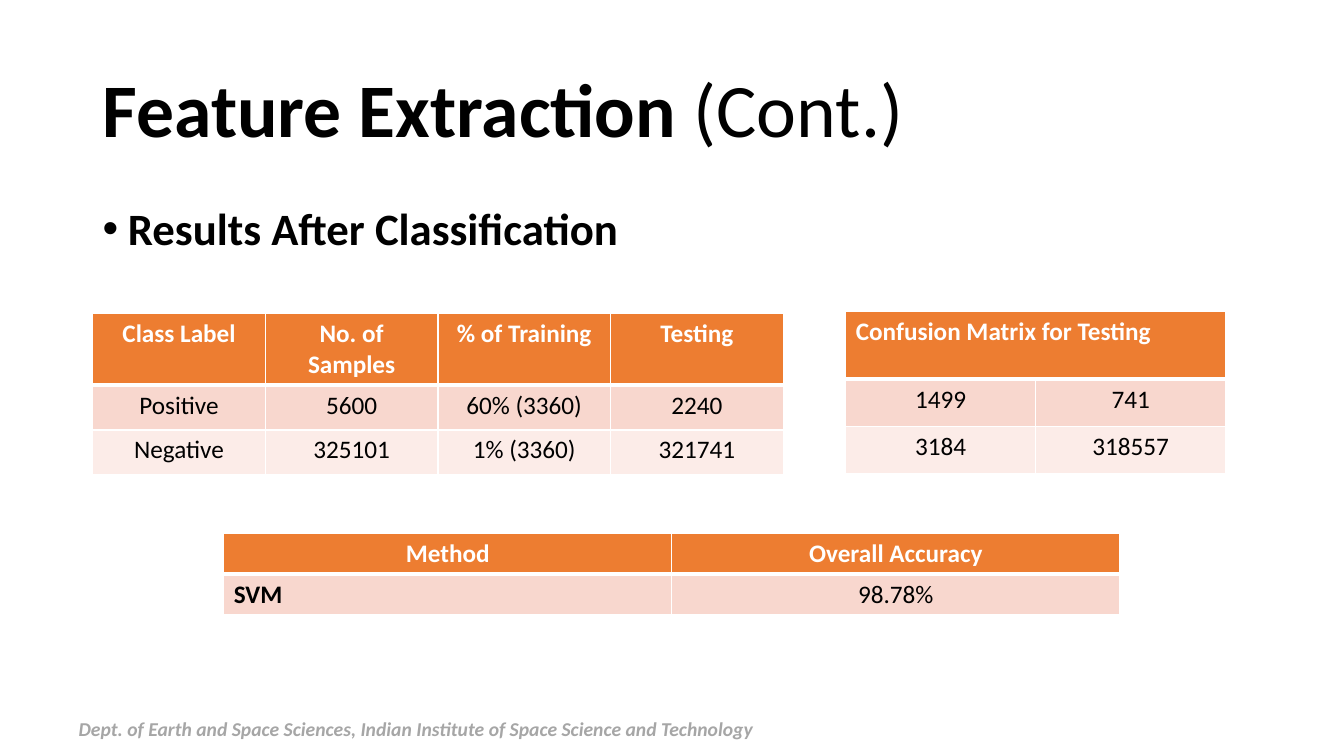
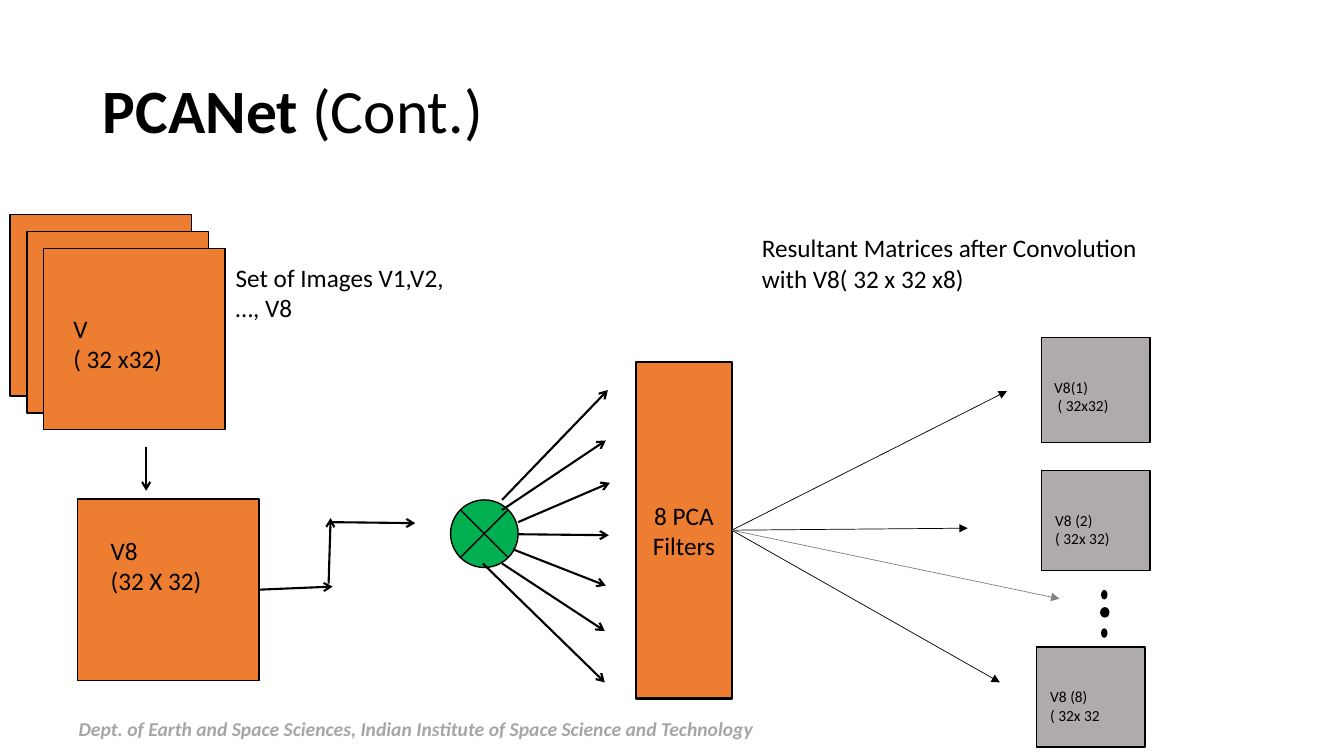
import lxml.etree as etree
import pptx
import pptx.dml.color
import pptx.enum.shapes
import pptx.enum.text
import pptx.oxml.ns
import pptx.util

qn = pptx.oxml.ns.qn
SHAPE = pptx.enum.shapes.MSO_SHAPE
ALIGN = pptx.enum.text.PP_ALIGN
ANCHOR = pptx.enum.text.MSO_ANCHOR
AUTOSIZE = pptx.enum.text.MSO_AUTO_SIZE

CELL = pptx.util.Inches(0.1)
SLIDE_COLUMNS, SLIDE_ROWS = 133.33, 75
FONT = "Calibri"
TITLE_AREA = (9.2, 4, 115, 14.5)
FOOTER_AREA = (7.8, 69.5, 80, 4)
FOOTER = "Dept. of Earth and Space Sciences, Indian Institute of Space Science and Technology"
COLORS = {
    "ink": "000000",
    "paper": "FFFFFF",
    "orange": "ED7D31",
    "band_dark": "F8D7CE",
    "band_light": "FCECE8",
    "green": "00B050",
    "gray": "AFABAB",
    "faint": "808080",
    "footer": "A6A6A6",
}


def grid(*cells):
    return [round(cell * CELL) for cell in cells]


def rgb(name):
    return pptx.dml.color.RGBColor.from_string(COLORS[name])


def style_font(font, size, color="ink", bold=False, italic=False):
    font.name = FONT
    font.size = pptx.util.Pt(size)
    font.color.rgb = rgb(color)
    font.bold = bold
    font.italic = italic


def add_slide(deck, topic, title_size):
    slide = deck.slides.add_slide(deck.slide_layouts[5])
    title = slide.shapes.title
    title.left, title.top, title.width, title.height = grid(*TITLE_AREA)
    frame = title.text_frame
    frame.auto_size = AUTOSIZE.NONE
    frame.vertical_anchor = ANCHOR.MIDDLE
    heading = frame.paragraphs[0]
    heading.alignment = ALIGN.LEFT
    heading.line_spacing = 0.9
    heading.font.name = FONT
    heading.font.size = pptx.util.Pt(title_size)
    heading.font.color.rgb = rgb("ink")
    for words, bold in ((topic + " ", True), ("(Cont.)", False)):
        run = heading.add_run()
        run.text = words
        run.font.bold = bold
    return slide


def add_text(slide, area, text, size=18, grow=True, **look):
    label = slide.shapes.add_textbox(*grid(*area))
    frame = label.text_frame
    frame.word_wrap = True
    frame.auto_size = AUTOSIZE.SHAPE_TO_FIT_TEXT if grow else AUTOSIZE.NONE
    frame.text = text
    for paragraph in frame.paragraphs:
        style_font(paragraph.font, size, **look)
    return label


def add_footer(slide):
    footer = add_text(slide, FOOTER_AREA, FOOTER, 14, grow=False,
                      color="footer", bold=True, italic=True)
    frame = footer.text_frame
    frame.vertical_anchor = ANCHOR.BOTTOM
    frame.margin_left = frame.margin_top = frame.margin_right = frame.margin_bottom = 0


def add_bullet(slide, area, text):
    point = add_text(slide, area, text, 32, grow=False, bold=True)
    paragraph = point.text_frame.paragraphs[0]
    paragraph.line_spacing = 0.9
    paragraph.space_before = pptx.util.Pt(10)
    properties = point.element.find(".//" + qn("a:pPr"))
    indent = pptx.util.Inches(0.25)
    properties.set("marL", str(indent))
    properties.set("indent", str(-indent))
    defaults = properties.find(qn("a:defRPr"))
    for tag, key, value in (("a:buFont", "typeface", "Arial"), ("a:buChar", "char", "•")):
        mark = etree.Element(qn(tag))
        mark.set(key, value)
        defaults.addprevious(mark)


def set_borders(cell_xml, top, bottom):
    properties = cell_xml.get_or_add_tcPr()
    for place, (side, width) in enumerate((("L", 1), ("R", 1), ("T", top), ("B", bottom))):
        border = etree.Element(qn("a:ln" + side), w=str(pptx.util.Pt(width)))
        fill = etree.SubElement(border, qn("a:solidFill"))
        etree.SubElement(fill, qn("a:srgbClr"), val=COLORS["paper"])
        properties.insert(place, border)


def add_results_table(slide, left, top, width, heights, rows, left_aligned=(), bold=()):
    columns = len(rows[0])
    holder = slide.shapes.add_table(len(rows), columns, *grid(left, top, width, sum(heights)))
    table = holder.table
    for column in table.columns:
        column.width = grid(width / columns)[0]
    for row, height in zip(table.rows, heights):
        row.height = grid(height)[0]
    bands = ("orange", "band_dark", "band_light")
    for index, cell_xml in enumerate(holder.element.iter(qn("a:tc"))):
        r, c = divmod(index, columns)
        cell, value, header = table.cell(r, c), rows[r][c], r == 0
        cell.fill.solid()
        cell.fill.fore_color.rgb = rgb(bands[r])
        set_borders(cell_xml, 3 if r == 1 else 1, 3 if header else 1)
        if value is None:
            table.cell(r, c - 1).merge(cell)
            continue
        cell.text = value
        paragraph = cell.text_frame.paragraphs[0]
        paragraph.alignment = ALIGN.LEFT if value in left_aligned else ALIGN.CENTER
        style_font(paragraph.font, 18, "paper" if header else "ink", header or value in bold)


def add_block(slide, area, color, outline=1, preset=SHAPE.RECTANGLE):
    block = slide.shapes.add_shape(preset, *grid(*area))
    block.shadow.inherit = False
    block.fill.solid()
    block.fill.fore_color.rgb = rgb(color)
    block.line.color.rgb = rgb("ink")
    block.line.width = pptx.util.Pt(outline)
    return block


def add_arrow(slide, start, end, width=1.5, head="arrow", color="ink", source=None):
    arrow = slide.shapes.add_connector(
        pptx.enum.shapes.MSO_CONNECTOR.STRAIGHT, *grid(*start, *end))
    if source is not None:
        arrow.begin_connect(source, 3)
    arrow.line.color.rgb = rgb(color)
    arrow.line.width = pptx.util.Pt(width)
    properties = arrow.element.spPr
    etree.SubElement(properties.find(qn("a:ln")), qn("a:tailEnd"), type=head)
    etree.SubElement(properties, qn("a:effectLst"))


def build_classification(deck):
    slide = add_slide(deck, "Feature Extraction", 54)
    add_bullet(slide, (9.2, 20, 115, 47.6), "Results After Classification")
    add_results_table(slide, 22.2, 52.9, 88.9, (4.05, 4.05), [
        ("Method", "Overall Accuracy"),
        ("SVM", "98.78%"),
    ], left_aligned=("SVM",), bold=("SVM",))
    add_results_table(slide, 9.2, 31.1, 68.5, (7, 4.45, 4.45), [
        ("Class Label", "No. of Samples", "% of Training", "Testing"),
        ("Positive", "5600", "60% (3360)", "2240"),
        ("Negative", "325101", "1% (3360)", "321741"),
    ])
    confusion = "Confusion Matrix for Testing"
    add_results_table(slide, 83.9, 30.9, 37.7, (6.7, 4.7, 4.7), [
        (confusion, None),
        ("1499", "741"),
        ("3184", "318557"),
    ], left_aligned=(confusion,))
    add_footer(slide)


def add_inputs(slide):
    side = 18
    for layer in range(3):
        offset = 1.67 * layer
        add_block(slide, (1 + offset, 21.3 + offset, side, side), "orange")
    add_text(slide, (6.3, 30.6, 16.4, 7.1), "V\n( 32 x32)")
    add_text(slide, (22.4, 25.5, 22.7, 7.1), "Set of Images V1,V2, …, V8")
    add_arrow(slide, (14.5, 44.3), (14.5, 48.7))
    selected = add_block(slide, (7.7, 49.5, side, side), "orange")
    add_text(slide, (10, 52.6, 13.3, 7.1), "V8\n(32 X 32)")
    add_arrow(slide, (25.7, 58.5), (33, 58.2), source=selected)
    add_arrow(slide, (32.6, 57.9), (32.8, 51.4))
    add_arrow(slide, (32.7, 51.8), (41.2, 51.9))


def add_convolution(slide):
    add_block(slide, (44.7, 49.6, 6.7, 6.7), "green", preset=SHAPE.FLOWCHART_SUMMING_JUNCTION)
    fan = (
        ((49.8, 49.6), (60.3, 38.7)),
        ((49.8, 50.6), (60.1, 43.7)),
        ((51.4, 51.8), (60.5, 47.9)),
        ((51.4, 53), (60.4, 53.1)),
        ((50.9, 54.5), (60.1, 58.1)),
        ((49.8, 55.9), (60, 62.6)),
        ((47.9, 55.9), (60, 67.7)),
    )
    for start, end in fan:
        add_arrow(slide, start, end)
    filters = add_block(slide, (63.1, 35.9, 9.5, 33.4), "orange", 1.5)
    frame = filters.text_frame
    frame.word_wrap = True
    frame.vertical_anchor = ANCHOR.MIDDLE
    frame.text = "8 PCA Filters"
    frame.paragraphs[0].alignment = ALIGN.CENTER
    style_font(frame.paragraphs[0].font, 18)
    return filters


def add_outputs(slide, filters):
    add_text(slide, (74.6, 22.6, 42.9, 7.1),
             "Resultant Matrices after Convolution with V8( 32 x 32 x8)")
    targets = (((96, 52.4), "ink"), ((99.9, 38.8), "ink"),
               ((99.2, 67.7), "ink"), ((105.1, 59.4), "faint"))
    for target, color in targets:
        add_arrow(slide, (72.6, 52.6), target, 0.5, "triangle", color, filters)
    matrices = (
        ((103.3, 33.5, 10.8, 10.4), (103.6, 37, 10.5, 4.7), "V8(1)\n ( 32x32)"),
        ((103.3, 46.7, 10.8, 9.9), (103.7, 50.2, 10.1, 4.7), "V8 (2)\n( 32x 32)"),
        ((102.8, 64.2, 10.8, 9.9), (103.2, 67.7, 10.8, 4.7), "V8 (8)\n( 32x 32"),
    )
    for block_area, label_area, text in matrices:
        add_block(slide, block_area, "gray")
        add_text(slide, label_area, text, 11)
    for dot in ((109.3, 58.6, 0.5, 0.8), (109.2, 60.3, 0.8, 0.9), (109.3, 62.4, 0.5, 0.8)):
        add_block(slide, dot, "ink", preset=SHAPE.OVAL)


def build_network(deck):
    slide = add_slide(deck, "PCANet", 44)
    add_inputs(slide)
    filters = add_convolution(slide)
    add_outputs(slide, filters)
    add_footer(slide)


def main():
    deck = pptx.Presentation()
    deck.slide_width, deck.slide_height = grid(SLIDE_COLUMNS, SLIDE_ROWS)
    build_classification(deck)
    build_network(deck)
    deck.save("out.pptx")


if __name__ == "__main__":
    main()
